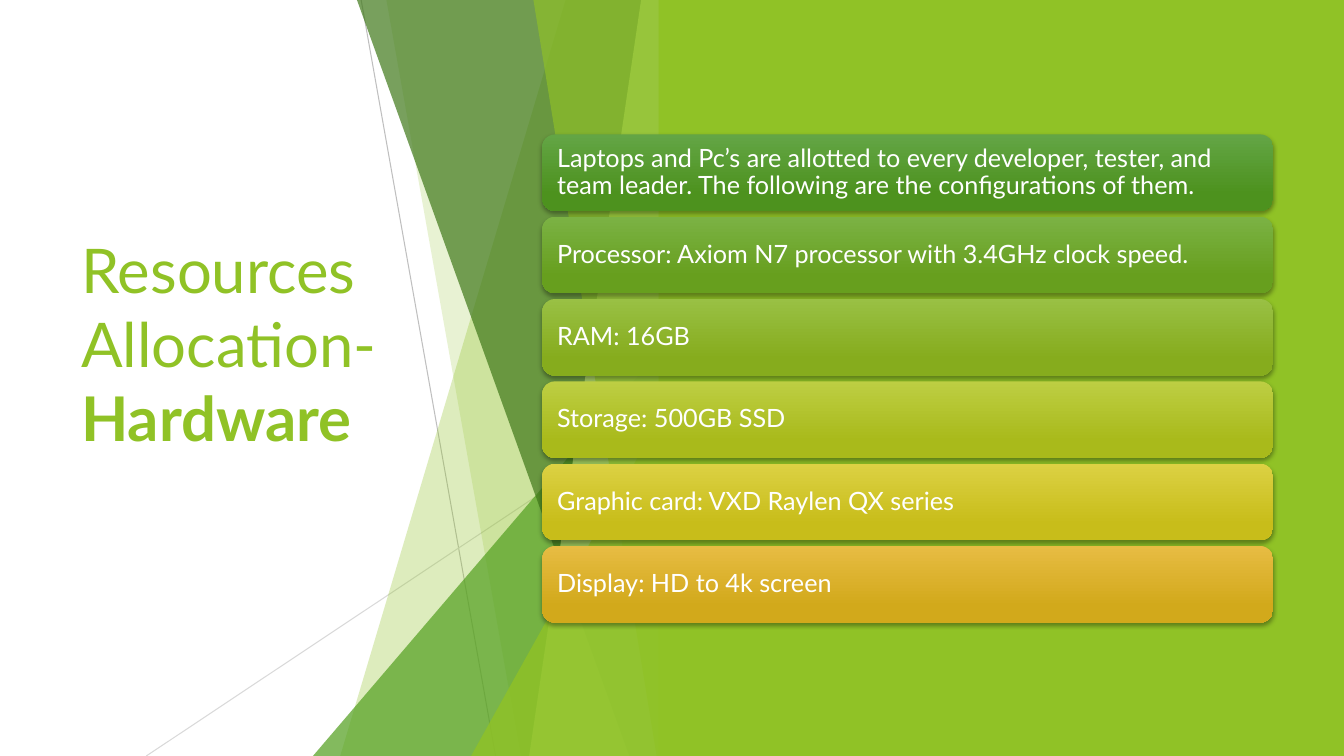
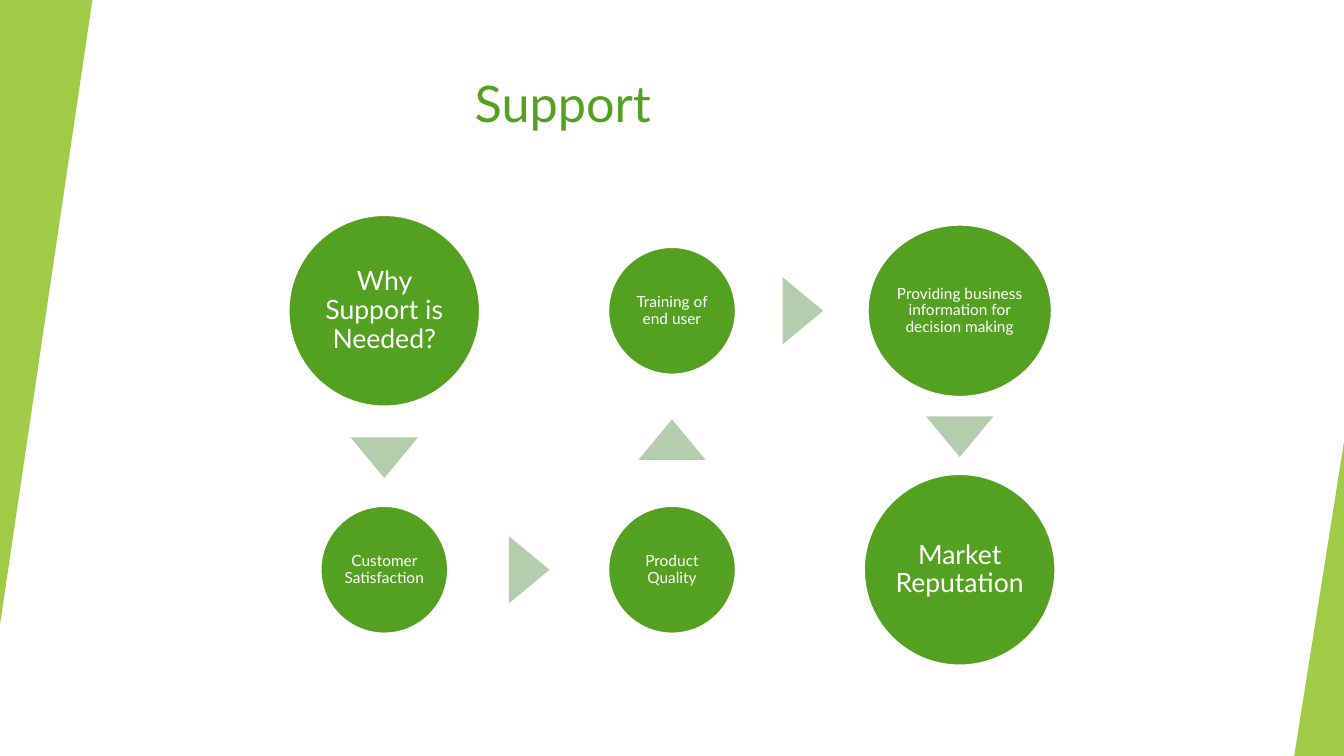
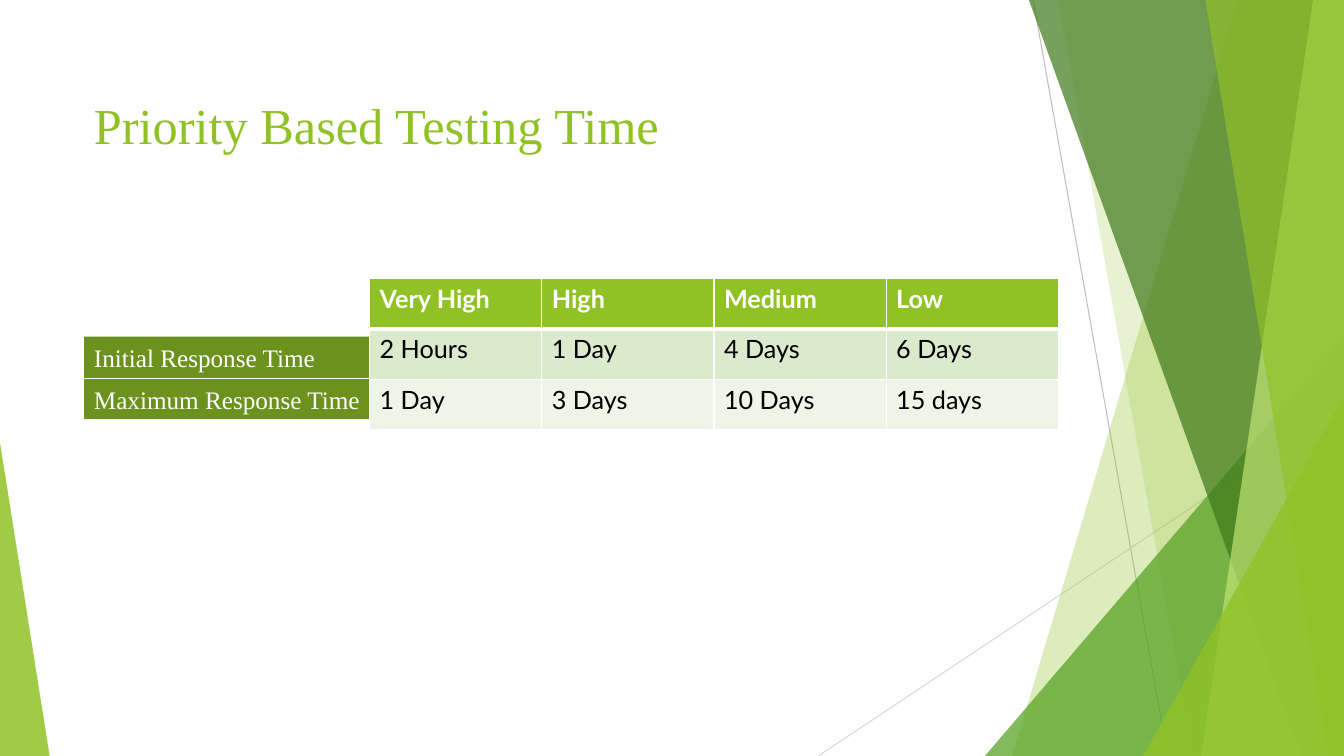
"""Build three green faceted slides on hardware, support and testing time."""
from dataclasses import dataclass

from lxml.etree import SubElement
from pptx import Presentation
from pptx.dml.color import RGBColor as RGB
from pptx.enum.shapes import MSO_CONNECTOR as CONN, MSO_SHAPE as SHAPE
from pptx.enum.text import MSO_ANCHOR as ANCHOR, PP_ALIGN as ALIGN
from pptx.oxml.ns import qn
from pptx.util import Pt


@dataclass(frozen=True)
class Theme:
    """Colours, fonts and type sizes of the deck."""
    width: float = 960
    height: float = 540
    font: str = "Lato"
    serif: str = "Times New Roman"
    lime: str = "90C226"
    green: str = "54A021"
    forest: str = "3F7819"
    pale: str = "C0E474"
    olive: str = "6C921D"
    sage: str = "B4CDAC"
    white: str = "FFFFFF"
    black: str = "000000"
    bands: tuple = ("DBE9CD", "EEF4E8")
    rules: tuple = ("BFBFBF", "D9D9D9")
    hero: float = 44
    title: float = 36
    large: float = 19
    body: float = 18
    small: float = 11


T = Theme()

FACETS = (
    ("band", 884, 723, T.lime, 30),
    ("band", 756, 852, T.lime, 20),
    ("corner", 703.5, 240, T.green, 72),
    ("band", 735, 929.5, T.forest, 70),
    ("band", 938, 858, T.pale, 70),
    ("band", 861, 949, T.lime, 65),
    ("corner", 816.5, 283, T.lime, 80),
)

CARDS = (
    ("Laptops and Pc’s are allotted to every developer, tester, and team leader. "
     "The following are the configurations of them.", "63A545", "4D921E"),
    ("Processor: Axiom N7 processor with 3.4GHz clock speed.", "7BB244", "679F1E"),
    ("RAM: 16GB", "99C044", "86AC1D"),
    ("Storage: 500GB SSD", "BDCE43", "A9BA1B"),
    ("Graphic card: VXD Raylen QX series", "DCD143", "C8BD1A"),
    ("Display: HD to 4k screen", "E7BC43", "D2A91B"),
)

COLUMNS = (274.5, 480, 685.5)
ROWS = (222, 407)
CIRCLES = (
    ("Why Support is Needed?", 0, 0, 136.8, 136.8, T.large),
    ("Customer Satisfaction", 0, 1, 91.2, 91.2, T.small),
    ("Product Quality", 1, 1, 91.2, 91.2, T.small),
    ("Training of end user", 1, 0, 91.2, 91.2, T.small),
    ("Providing business information for decision making", 2, 0, 131.6, 123, T.small),
    ("Market Reputation", 2, 1, 136.8, 136.8, T.large),
)
POINTERS = (
    (COLUMNS[0], 327, 180),
    (378, ROWS[1], 90),
    (COLUMNS[1], 314, 0),
    (573.5, ROWS[0], 90),
    (COLUMNS[2], 312, 180),
)

TIMES = (
    ("Very High", "High", "Medium", "Low"),
    ("2 Hours", "1 Day", "4 Days", "6 Days"),
    ("1 Day", "3 Days", "10 Days", "15 days"),
)


def pts(*values):
    """Turn numbers into point lengths."""
    return [Pt(v) for v in values]


def paint(sp, color, alpha=100):
    """Give a shape a plain fill without outline or shadow."""
    sp.shadow.inherit = False
    sp.line.fill.background()
    sp.fill.solid()
    sp.fill.fore_color.rgb = RGB.from_string(color)
    if alpha < 100:
        clr = sp._element.spPr.find(qn("a:solidFill"))[0]
        SubElement(clr, qn("a:alpha"), val=str(alpha * 1000))


def outline(sp, color, width):
    """Draw a solid outline."""
    sp.line.color.rgb = RGB.from_string(color)
    sp.line.width = Pt(width)


def preset(s, kind, box, color, alpha=100):
    """Add a filled preset shape."""
    sp = s.shapes.add_shape(kind, *pts(*box))
    paint(sp, color, alpha)
    return sp


def triangle(s, box, color, alpha=100, apex=0.5, turn=0):
    """Add a triangle whose apex sits at a share of its width."""
    sp = preset(s, SHAPE.ISOSCELES_TRIANGLE, box, color, alpha)
    sp.adjustments[0] = apex
    sp.rotation = turn


def band(s, top_x, bottom_x, right, color, alpha):
    """Add a full-height band with a slanted left edge."""
    fb = s.shapes.build_freeform(Pt(top_x), 0)
    fb.add_line_segments([pts(right, 0), pts(right, T.height), pts(bottom_x, T.height)])
    paint(fb.convert_to_shape(), color, alpha)


def rule(s, ends, color):
    """Add a thin straight line."""
    cn = s.shapes.add_connector(CONN.STRAIGHT, *pts(*ends))
    outline(cn, color, 0.75)
    SubElement(cn._element.spPr, qn("a:effectLst"))


def facets(s, shift=0):
    """Draw the faceted pattern, moved sideways by a shift."""
    right = T.width + shift
    rule(s, (738 + shift, 0, 834 + shift, T.height), T.rules[0])
    rule(s, (right, 290, 584.5 + shift, T.height), T.rules[1])
    for kind, a, b, color, alpha in FACETS:
        if kind == "band":
            band(s, a + shift, b + shift, right, color, alpha)
        else:
            triangle(s, (a + shift, b, T.width - a, T.height - b), color, alpha, apex=1)


def style(tf, size, color, font=T.font, bold=False):
    """Format every run of a text frame."""
    for p in tf.paragraphs:
        for r in p.runs:
            r.font.size = Pt(size)
            r.font.name = font
            r.font.bold = bold
            r.font.color.rgb = RGB.from_string(color)


def title(s, text, box, color=T.lime, size=T.title, font=T.font, anchor=ANCHOR.TOP):
    """Add a slide title and return its text frame."""
    tf = s.shapes.add_textbox(*pts(*box)).text_frame
    tf.word_wrap = True
    tf.vertical_anchor = anchor
    tf.text = text
    style(tf, size, color, font)
    return tf


def label(sp, text, size, align=ALIGN.LEFT, inset=7.2, spacing=1.0, font=T.font):
    """Write white text inside a shape."""
    tf = sp.text_frame
    tf.word_wrap = True
    tf.vertical_anchor = ANCHOR.MIDDLE
    tf.margin_left = tf.margin_right = Pt(inset)
    tf.margin_top = tf.margin_bottom = Pt(min(inset, 3.6))
    tf.text = text
    p = tf.paragraphs[0]
    p.alignment = align
    p.line_spacing = spacing
    style(tf, size, T.white, font)


def card(s, text, box, top_color, low_color):
    """Add a rounded gradient card with a soft shadow."""
    sp = preset(s, SHAPE.ROUNDED_RECTANGLE, box, top_color)
    sp.fill.gradient()
    sp.fill.gradient_angle = 270
    for stop, color, place in zip(sp.fill.gradient_stops, (top_color, low_color), (0, 0.78)):
        stop.color.rgb = RGB.from_string(color)
        stop.position = place
    effects = sp._element.spPr.find(qn("a:effectLst"))
    shadow = SubElement(effects, qn("a:outerShdw"), blurRad=str(Pt(3)), dist=str(Pt(2)),
                        dir="5400000", algn="ctr", rotWithShape="0")
    clr = SubElement(shadow, qn("a:srgbClr"), val=T.black)
    SubElement(clr, qn("a:alpha"), val="35000")
    label(sp, text, T.body, inset=8, spacing=0.9)


def cell_borders(cell, widths):
    """Set white borders in the order left, right, top, bottom."""
    tc_pr = cell._tc.get_or_add_tcPr()
    for side, width in zip("LRTB", widths):
        ln = SubElement(tc_pr, qn("a:ln" + side), w=str(Pt(width)))
        fill = SubElement(ln, qn("a:solidFill"))
        SubElement(fill, qn("a:srgbClr"), val=T.white)


def time_table(s, rows, left, top, col_width, row_height):
    """Add the banded table with a green header row."""
    n_rows, n_cols = len(rows), len(rows[0])
    box = pts(left, top, col_width * n_cols, row_height * n_rows)
    table = s.shapes.add_table(n_rows, n_cols, *box).table
    for i, row in enumerate(rows):
        head = i == 0
        fill = T.lime if head else T.bands[(i - 1) % 2]
        for j, text in enumerate(row):
            cell = table.cell(i, j)
            cell_borders(cell, (1, 1, 3 if i == 1 else 1, 3 if head else 1))
            cell.fill.solid()
            cell.fill.fore_color.rgb = RGB.from_string(fill)
            cell.text_frame.text = text
            style(cell.text_frame, T.body, T.white if head else T.black, bold=head)


def hardware_slide(s):
    """Build the slide on hardware resources."""
    tf = title(s, "Resources Allocation- ", (51, 109, 279.5, 272),
               size=T.hero, anchor=ANCHOR.MIDDLE)
    r = tf.paragraphs[0].add_run()
    r.text = "Hardware"
    style(tf, T.hero, T.lime)
    r.font.bold = True
    facets(s, shift=-480)
    preset(s, SHAPE.RECTANGLE, (470.5, 0, T.width - 470.5, T.height), T.lime)
    for i, (text, top_color, low_color) in enumerate(CARDS):
        card(s, text, (387.3, 96 + 58.8 * i, 522, 54.7), top_color, low_color)


def support_slide(s):
    """Build the slide on reasons for support."""
    title(s, "Support", (332, 48, 400, 86), color=T.green)
    triangle(s, (0, 0, 66, 446), T.lime, 85, apex=1, turn=180)
    triangle(s, (924.5, 316, 35.5, 224), T.lime, 85, apex=1)
    for text, col, row, w, h, size in CIRCLES:
        box = (COLUMNS[col] - w / 2, ROWS[row] - h / 2, w, h)
        sp = preset(s, SHAPE.OVAL, box, T.green)
        outline(sp, T.white, 1.5)
        label(sp, text, size, ALIGN.CENTER, inset=1.5, spacing=0.9)
    for x, y, turn in POINTERS:
        triangle(s, (x - 24, y - 14.5, 48, 29), T.sage, turn=turn)


def testing_slide(s):
    """Build the slide on testing time by priority."""
    facets(s)
    triangle(s, (0, 316, 35.5, 224), T.lime, 85, apex=0)
    title(s, "Priority Based Testing Time", (60, 63.5, 677, 104), font=T.serif)
    first = preset(s, SHAPE.RECTANGLE, (60, 240.5, 204, 30), T.olive)
    second = preset(s, SHAPE.RECTANGLE, (60, 270.5, 216, 29), T.olive)
    outline(second, T.white, 0.75)
    label(first, "Initial Response Time", T.body, font=T.serif)
    label(second, "Maximum Response Time", T.body, font=T.serif)
    time_table(s, TIMES, 264, 199, 123, 36)


def main():
    """Build and save the deck."""
    prs = Presentation()
    prs.slide_width, prs.slide_height = pts(T.width, T.height)
    for build in (hardware_slide, support_slide, testing_slide):
        build(prs.slides.add_slide(prs.slide_layouts[6]))
    prs.save("out.pptx")


if __name__ == "__main__":
    main()
